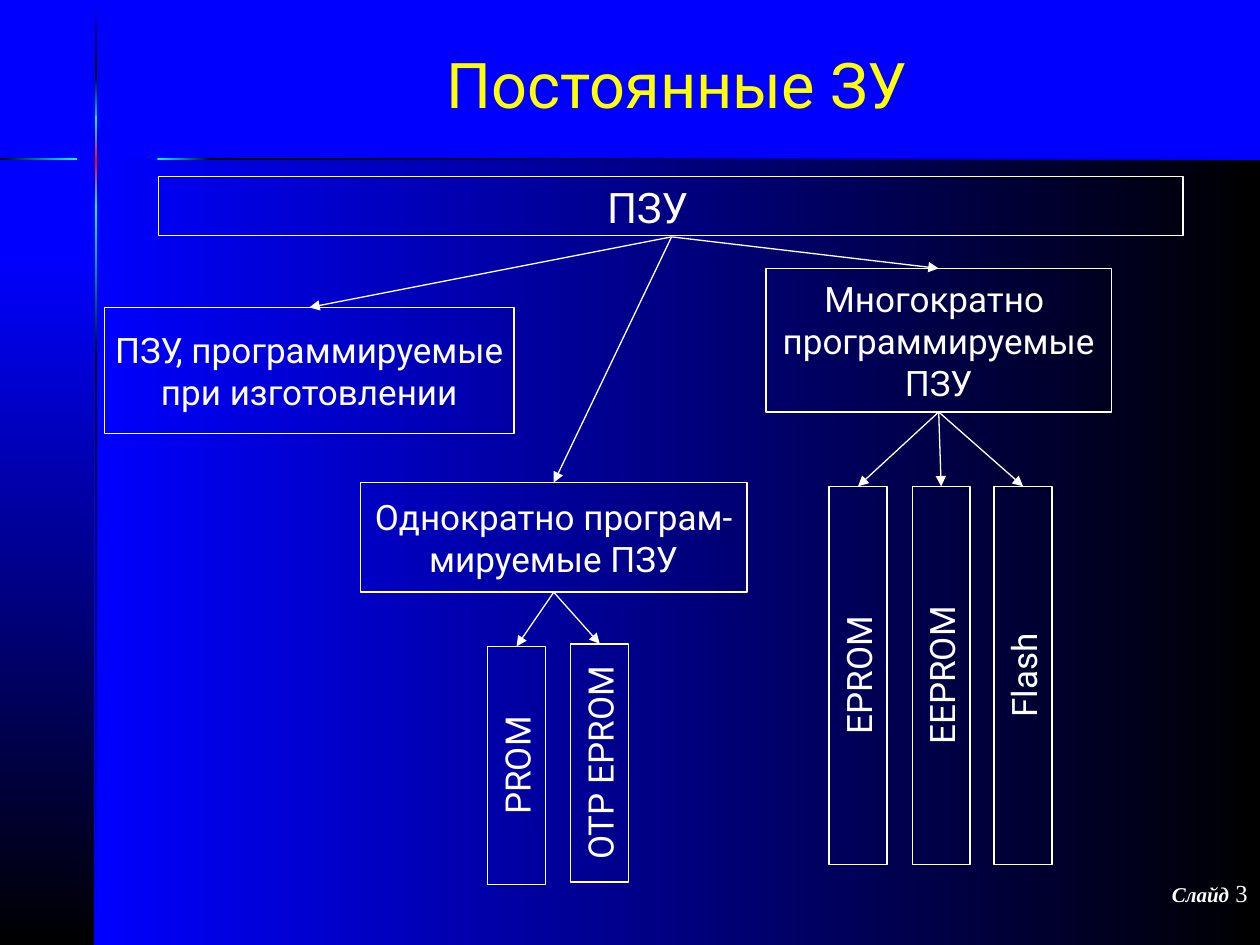
from copy import deepcopy
from lxml.etree import SubElement
from pptx import Presentation
from pptx.dml.color import RGBColor
from pptx.enum.shapes import MSO_CONNECTOR, MSO_SHAPE
from pptx.enum.text import MSO_ANCHOR, PP_ALIGN
from pptx.oxml.ns import qn
from pptx.util import Inches, Pt

BLUE = RGBColor(0, 0, 255)
BLACK = RGBColor(0, 0, 0)
CYAN = RGBColor(0, 255, 255)
RED = RGBColor(255, 0, 0)
WHITE = RGBColor(255, 255, 255)
YELLOW = RGBColor(255, 255, 0)
SANS, SERIF = "Roboto", "Times New Roman"

BANDS = [
    ((0.75, 1.25, 9.25, 6.25), (BLUE, BLACK), 0),
    ((0, 2.02, 0.75, 5.48), (BLUE, BLACK), 90),
    ((0.75, 0.01, 0.02, 0.58), (BLUE, BLACK), 90),
    ((0.75, 2.82, 0.02, 4.68), (BLACK, BLUE), 90),
    ((0.75, 1.63, 0.02, 1.22), (CYAN, BLACK), 90),
    ((0.75, 0.58, 0.02, 0.44), (BLACK, CYAN), 90),
    ((0.75, 0.92, 0.02, 0.73), (CYAN, RED, CYAN), 90),
    ((0, 1.25, 0.61, 0.02), (BLACK, CYAN), 0),
    ((1.67, 1.25, 8.33, 0.02), (BLACK, BLUE), 0),
    ((1.25, 1.25, 0.44, 0.02), (CYAN, BLACK), 0),
]
TIP = [(0.21, 1.26), (0.6, 1.27), (1.33, 1.27), (1.33, 1.25), (0.6, 1.25)]

TITLE = ("Постоянные ЗУ", (0.75, 0.08, 9.25, 1.17), 36, YELLOW, MSO_ANCHOR.MIDDLE)
HEAD = ("ПЗУ", (0.61, 1.39, 9.06, 5.74), 24, WHITE, MSO_ANCHOR.TOP)
ROOT = (1.26, 1.4, 8.13, 0.47)
START = (5.33, 1.88)
GROUPS = [
    ("ПЗУ, программируемые\vпри изготовлении", (0.83, 2.44, 3.25, 1), []),
    ("Однократно програм-\vмируемые ПЗУ", (2.86, 3.83, 3.07, 0.87),
     [("PROM", 4.1, 5.13, 1.89), ("OTP EPROM", 4.76, 5.11, 1.89)]),
    ("Многократно \vпрограммируемые\nПЗУ", (6.08, 2.13, 2.74, 1.14),
     [("EPROM", 6.81, 3.86, 3), ("EEPROM", 7.47, 3.86, 3), ("Flash", 8.12, 3.86, 3)]),
]
THICK = 0.46

deck = Presentation()
deck.slide_width, deck.slide_height = Inches(10), Inches(7.5)
slide = deck.slides.add_slide(deck.slide_layouts[6])
slide.background.fill.solid()
slide.background.fill.fore_color.rgb = BLUE
shapes = slide.shapes


def shade(shape, colors, angle):
    shape.shadow.inherit = False
    shape.line.fill.background()
    fill = shape.fill
    fill.gradient()
    fill.gradient_angle = (360 - angle) % 360
    stops = shape._element.spPr.find(".//" + qn("a:gsLst"))
    for _ in colors[2:]:
        stops.append(deepcopy(stops[-1]))
    for i, (stop, color) in enumerate(zip(fill.gradient_stops, colors)):
        stop.color.rgb = color
        stop.position = i / (len(colors) - 1)


def write(shape, text, size, color, anchor, wrap=True):
    frame = shape.text_frame
    frame.text = text
    frame.word_wrap = wrap
    frame.vertical_anchor = anchor
    for para in frame.paragraphs:
        para.alignment = PP_ALIGN.CENTER
        para.font.name = SANS
        para.font.size = Pt(size)
        para.font.color.rgb = color


def add_box(area, text=None, turn=0):
    box = shapes.add_shape(MSO_SHAPE.RECTANGLE, *map(Inches, area))
    box.shadow.inherit = False
    box.fill.background()
    box.line.color.rgb = WHITE
    box.line.width = Pt(0.75)
    box.rotation = turn
    if text:
        write(box, text, 20, WHITE, MSO_ANCHOR.MIDDLE, False)


def add_arrow(start, end):
    line = shapes.add_connector(MSO_CONNECTOR.STRAIGHT, *map(Inches, start + end))
    line.line.color.rgb = WHITE
    line.line.width = Pt(0.75)
    SubElement(line.line._get_or_add_ln(), qn("a:tailEnd"), type="triangle")
    SubElement(line._element.spPr, qn("a:effectLst"))


for area, colors, angle in BANDS:
    shade(shapes.add_shape(MSO_SHAPE.RECTANGLE, *map(Inches, area)), colors, angle)
pen = shapes.build_freeform(*TIP[0], scale=Inches(1))
pen.add_line_segments(TIP[1:], close=True)
shade(pen.convert_to_shape(), (CYAN, RED, CYAN), 0)

for text, area, size, color, anchor in (TITLE, HEAD):
    write(shapes.add_textbox(*map(Inches, area)), text, size, color, anchor)

add_box(ROOT)
for text, area, leaves in GROUPS:
    left, top, width, height = area
    mid = left + width / 2
    add_box(area, text)
    add_arrow(START, (mid, top))
    for name, x, y, span in leaves:
        add_box((x - span / 2, y + (span - THICK) / 2, span, THICK), name, 270)
        add_arrow((mid, top + height), (x, y))

note = shapes.add_textbox(*map(Inches, (7.92, 6.92, 2.08, 0.5)))
note.text_frame.word_wrap = True
para = note.text_frame.paragraphs[0]
para.alignment = PP_ALIGN.RIGHT
para.font.name = SERIF
para.font.color.rgb = WHITE
for text, size, strong in (("Слайд", 12, True), (" 3", 14, False)):
    run = para.add_run()
    run.text = text
    run.font.size = Pt(size)
    run.font.bold = run.font.italic = strong

deck.save("out.pptx")
